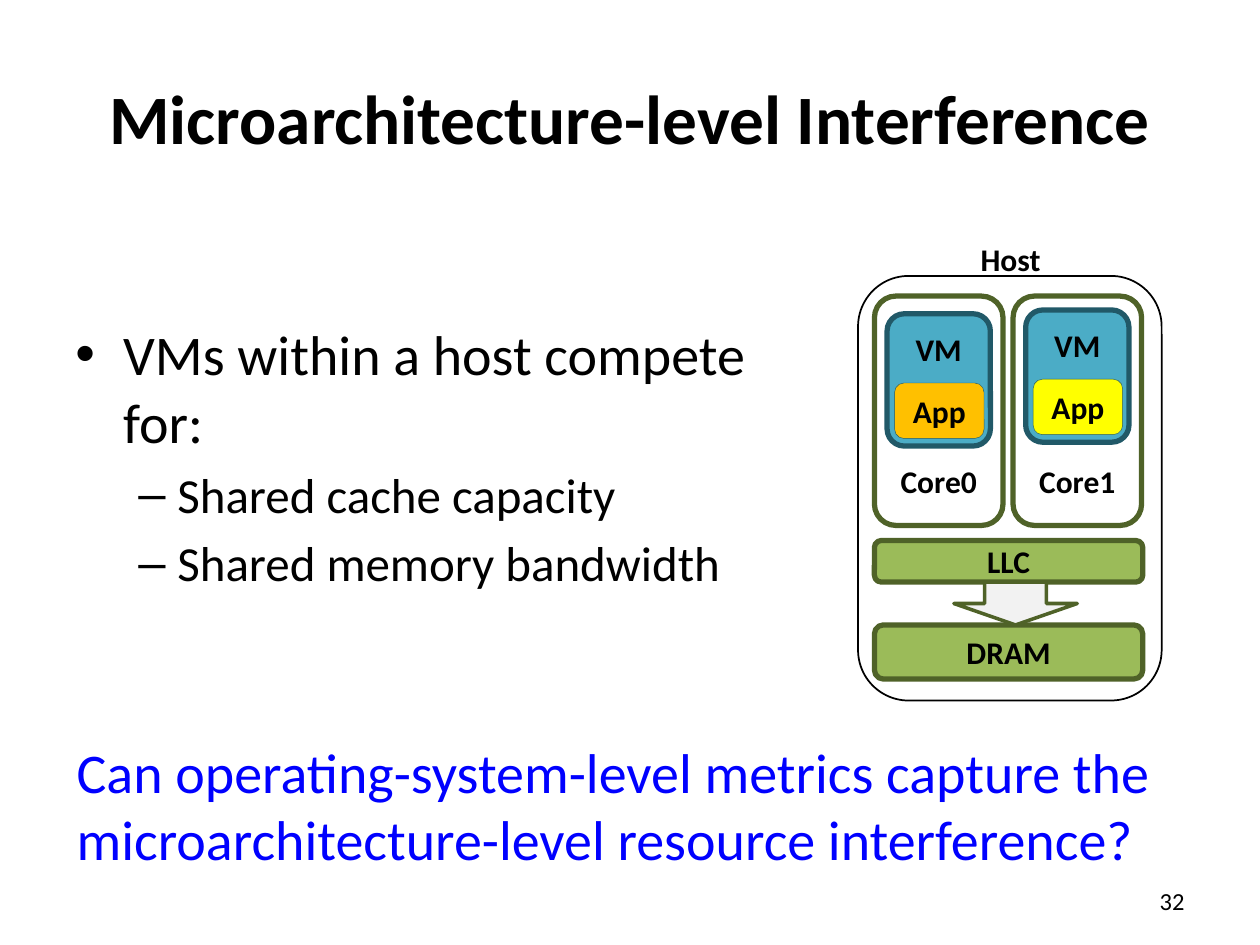
from lxml import etree
from pptx import Presentation
from pptx import util as u
from pptx.dml.color import RGBColor
from pptx.enum import shapes, text
from pptx.oxml import ns

PX = 9144
FONT = "Calibri"
BLACK = RGBColor(0, 0, 0)
BLUE = RGBColor(0, 0, 255)
TEAL = RGBColor(0x4B, 0xAC, 0xC6)
DEEP = RGBColor(0x21, 0x59, 0x68)
GREEN = RGBColor(0x9B, 0xBB, 0x59)
OLIVE = RGBColor(0x4F, 0x62, 0x28)
ORANGE = RGBColor(0xFF, 0xC0, 0)
YELLOW = RGBColor(255, 255, 0)
PALE = RGBColor(0xF2, 0xF2, 0xF2)
ROUND = shapes.MSO_SHAPE.ROUNDED_RECTANGLE
ARROW = shapes.MSO_SHAPE.DOWN_ARROW
LEFT, MID, RIGHT = text.PP_ALIGN.LEFT, text.PP_ALIGN.CENTER, text.PP_ALIGN.RIGHT
TOP, CENTER, BASE = text.MSO_ANCHOR.TOP, text.MSO_ANCHOR.MIDDLE, text.MSO_ANCHOR.BOTTOM


def emu(box):
    return [n * PX for n in box]


def style(para, size, color=BLACK, bold=False, align=LEFT):
    para.alignment = align
    for run in para.runs:
        run.font.name = FONT
        run.font.size = u.Pt(size)
        run.font.bold = bold
        run.font.color.rgb = color


def label(slide, box, words, size, color=BLACK, bold=False, align=LEFT, anchor=TOP, wrap=True):
    frame = slide.shapes.add_textbox(*emu(box)).text_frame
    frame.word_wrap = wrap
    frame.vertical_anchor = anchor
    frame.text = words
    for para in frame.paragraphs:
        style(para, size, color, bold, align)
    return frame


def block(slide, box, fill, line, width, words="", anchor=CENTER, inset=0, kind=ROUND):
    shape = slide.shapes.add_shape(kind, *emu(box))
    shape.shadow.inherit = False
    if fill is None:
        shape.fill.background()
    else:
        shape.fill.solid()
        shape.fill.fore_color.rgb = fill
    shape.line.color.rgb = line
    shape.line.width = u.Pt(width)
    frame = shape.text_frame
    frame.margin_left = frame.margin_right = 0
    frame.margin_top = inset * PX if anchor == TOP else 0
    frame.margin_bottom = inset * PX if anchor == BASE else 0
    frame.vertical_anchor = anchor
    if words:
        frame.text = words
        style(frame.paragraphs[0], 18, bold=True, align=MID)


def core(slide, box, name, drop, color):
    x, y, w, h = box
    block(slide, box, None, OLIVE, 3, name, BASE, 15)
    block(slide, (x + 10, y + drop, w - 20, 105), TEAL, DEEP, 3, "VM", TOP, 9)
    block(slide, (x + 16, y + drop + 55, 71, 44), color, DEEP, 0.25, "App")


def host(slide, box):
    x, y, w, h = box
    block(slide, box, None, BLACK, 1)
    label(slide, (x + 87, y - 33, 68, 40), "Host", 18, bold=True, align=MID, wrap=False)
    for i, (drop, color) in enumerate([(14, ORANGE), (11, YELLOW)]):
        core(slide, (x + 13 + 110 * i, y + 16, 102, 182), f"Core{i}", drop, color)
    for name, top, high in [("LLC", 210, 33), ("DRAM", 277, 43)]:
        block(slide, (x + 13, y + top, 213, high), GREEN, OLIVE, 3, name)
    block(slide, (x + 76, y + 243, 98, 34), PALE, OLIVE, 2, kind=ARROW)


def points(slide, box):
    items = [
        ("VMs within a host compete for:", 0, 32, 38, 38, "•"),
        ("Shared cache capacity", 1, 28, 81, 31, "–"),
        ("Shared memory bandwidth", 1, 28, 81, 31, "–"),
    ]
    frame = label(slide, box, "\n".join(item[0] for item in items), 32)
    for para, (_, level, size, left, hang, mark) in zip(frame.paragraphs, items):
        style(para, size)
        para.level = level
        para.space_before = u.Pt(size * 0.2)
        props = para._p.get_or_add_pPr()
        props.set("marL", str(left * PX))
        props.set("indent", str(-hang * PX))
        face = etree.SubElement(props, ns.qn("a:buFont"))
        face.set("typeface", "Arial")
        etree.SubElement(props, ns.qn("a:buChar")).set("char", mark)


def main():
    deck = Presentation()
    deck.slide_width, deck.slide_height = 1000 * PX, 750 * PX
    slide = deck.slides.add_slide(deck.slide_layouts[6])
    label(slide, (50, 30, 900, 125), "Microarchitecture-level Interference", 39.6,
          bold=True, align=MID, anchor=CENTER)
    points(slide, (50, 249, 623, 254))
    host(slide, (681, 219, 241, 337))
    label(slide, (51, 580, 878, 118),
          "Can operating-system-level metrics capture the "
          "microarchitecture-level resource interference?", 32, BLUE)
    label(slide, (717, 695, 233, 40), "32", 14, align=RIGHT, anchor=CENTER)
    deck.save("out.pptx")


if __name__ == "__main__":
    main()
